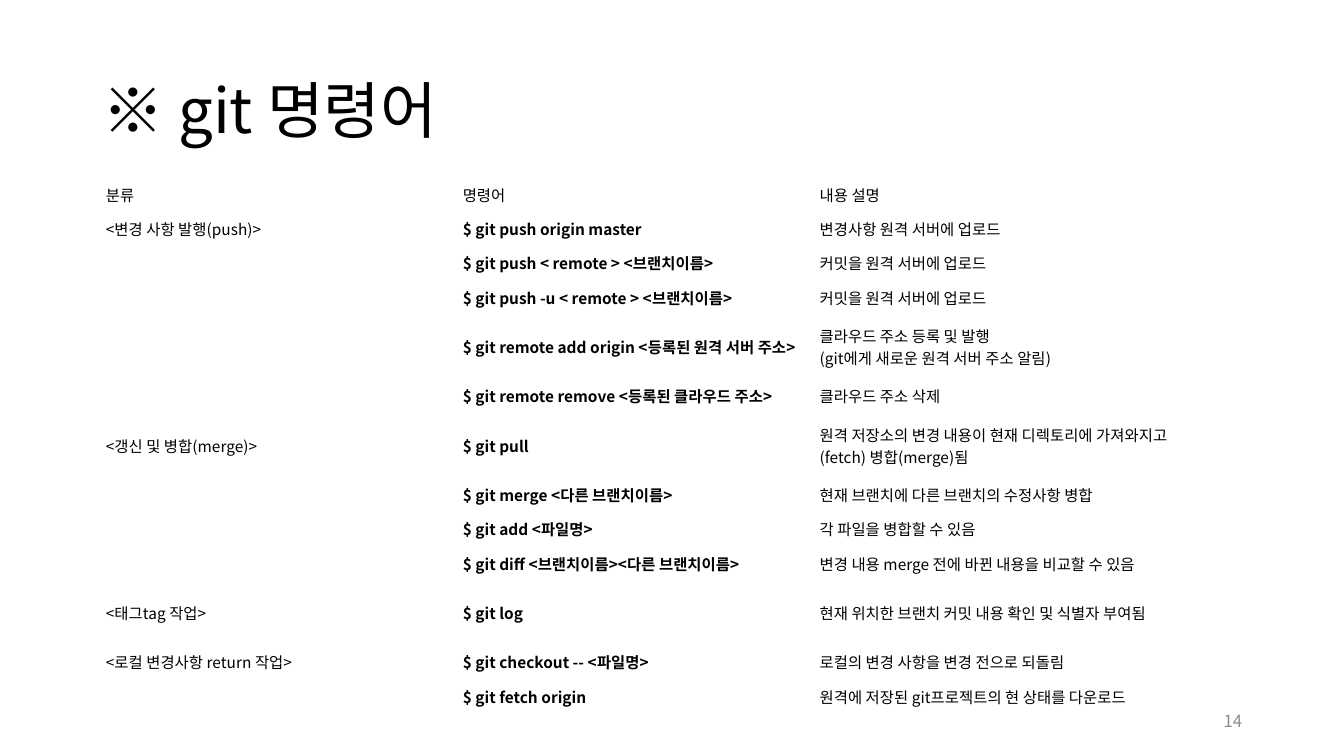
from lxml.etree import SubElement
from pptx import Presentation
from pptx.dml.color import RGBColor
from pptx.enum.text import MSO_ANCHOR as Anchor, MSO_AUTO_SIZE as AutoSize, PP_ALIGN as Align
from pptx.oxml.ns import qn
from pptx.util import Inches, Pt

COMMANDS = [
    ("분류", "명령어", "내용 설명"),
    ("<변경 사항 발행(push)>", "$ git push origin master", "변경사항 원격 서버에 업로드"),
    ("", "$ git push < remote > <브랜치이름>", "커밋을 원격 서버에 업로드"),
    ("", "$ git push -u < remote > <브랜치이름>", "커밋을 원격 서버에 업로드"),
    ("", "$ git remote add origin <등록된 원격 서버 주소>",
     "클라우드 주소 등록 및 발행\n(git에게 새로운 원격 서버 주소 알림)"),
    ("", "$ git remote remove <등록된 클라우드 주소>", "클라우드 주소 삭제"),
    ("<갱신 및 병합(merge)>", "$ git pull",
     "원격 저장소의 변경 내용이 현재 디렉토리에 가져와지고(fetch) 병합(merge)됨"),
    ("", "$ git merge <다른 브랜치이름>", "현재 브랜치에 다른 브랜치의 수정사항 병합"),
    ("", "$ git add <파일명>", "각 파일을 병합할 수 있음"),
    ("", "$ git diff <브랜치이름><다른 브랜치이름>",
     "변경 내용 merge 전에 바뀐 내용을 비교할 수 있음"),
    ("<태그tag 작업>", "$ git log", "현재 위치한 브랜치 커밋 내용 확인 및 식별자 부여됨"),
    ("<로컬 변경사항 return 작업>", "$ git checkout -- <파일명>",
     "로컬의 변경 사항을 변경 전으로 되돌림"),
    ("", "$ git fetch origin", "원격에 저장된 git프로젝트의 현 상태를 다운로드"),
]
TALL_ROWS = {4, 6, 10}


def color(value):
    return RGBColor.from_string(value)


def write(frame, text, size, font, ink="000000", bold=False, align=Align.LEFT, spacing=1.0):
    frame.word_wrap = True
    paragraph = frame.paragraphs[0]
    paragraph.text = text
    paragraph.alignment = align
    paragraph.line_spacing = spacing
    for run in paragraph.runs:
        run.font.size = Pt(size)
        run.font.name = font
        run.font.bold = bold
        run.font.color.rgb = color(ink)
        SubElement(run.font._element, qn("a:ea"), typeface=font)
    if not text:
        SubElement(paragraph._p, qn("a:endParaRPr"), sz=str(size * 100))


class CommandSlide:
    """Holds the slide and its style, and adds each kind of element."""

    font = "Noto Sans CJK KR"
    paper = "FFFFFF"
    muted = "8C8C8C"

    def __init__(self, deck):
        self.slide = deck.slides.add_slide(deck.slide_layouts[5])

    def title(self, text, left, top, width, height):
        heading = self.slide.shapes.title
        heading.left, heading.top = Inches(left), Inches(top)
        heading.width, heading.height = Inches(width), Inches(height)
        frame = heading.text_frame
        frame.auto_size = AutoSize.NONE
        frame.vertical_anchor = Anchor.MIDDLE
        write(frame, text, 44, self.font, spacing=0.9)

    def table(self, rows, left, top, column_width):
        columns = len(rows[0])
        heights = [0.64 if index in TALL_ROWS else 0.34 for index in range(len(rows))]
        table = self.slide.shapes.add_table(
            len(rows), columns, Inches(left), Inches(top),
            Inches(column_width * columns), Inches(sum(heights))).table
        table.first_row = table.horz_banding = False
        for column in table.columns:
            column.width = Inches(column_width)
        for r, values in enumerate(rows):
            table.rows[r].height = Inches(heights[r])
            for c, value in enumerate(values):
                self.cell(table.cell(r, c), value, bold=r > 0 and c == 1)

    def cell(self, cell, text, bold):
        cell.fill.solid()
        cell.fill.fore_color.rgb = color(self.paper)
        cell.vertical_anchor = Anchor.MIDDLE
        cell.margin_left = cell.margin_right = Inches(0.03)
        cell.margin_top = cell.margin_bottom = Inches(0.01)
        write(cell.text_frame, text, 11, self.font, bold=bold)

    def page_number(self, text, left, top, width, height):
        box = self.slide.shapes.add_textbox(
            Inches(left), Inches(top), Inches(width), Inches(height))
        box.text_frame.vertical_anchor = Anchor.MIDDLE
        write(box.text_frame, text, 12, self.font, ink=self.muted, align=Align.RIGHT)


def main():
    deck = Presentation()
    deck.slide_width, deck.slide_height = Inches(13.33), Inches(7.5)
    page = CommandSlide(deck)
    page.title("※ git 명령어", 0.92, 0.4, 11.5, 1.45)
    page.table(COMMANDS, 1.02, 1.76, 3.54)
    page.page_number("14", 9.42, 6.95, 3, 0.4)
    deck.save("out.pptx")


if __name__ == "__main__":
    main()
